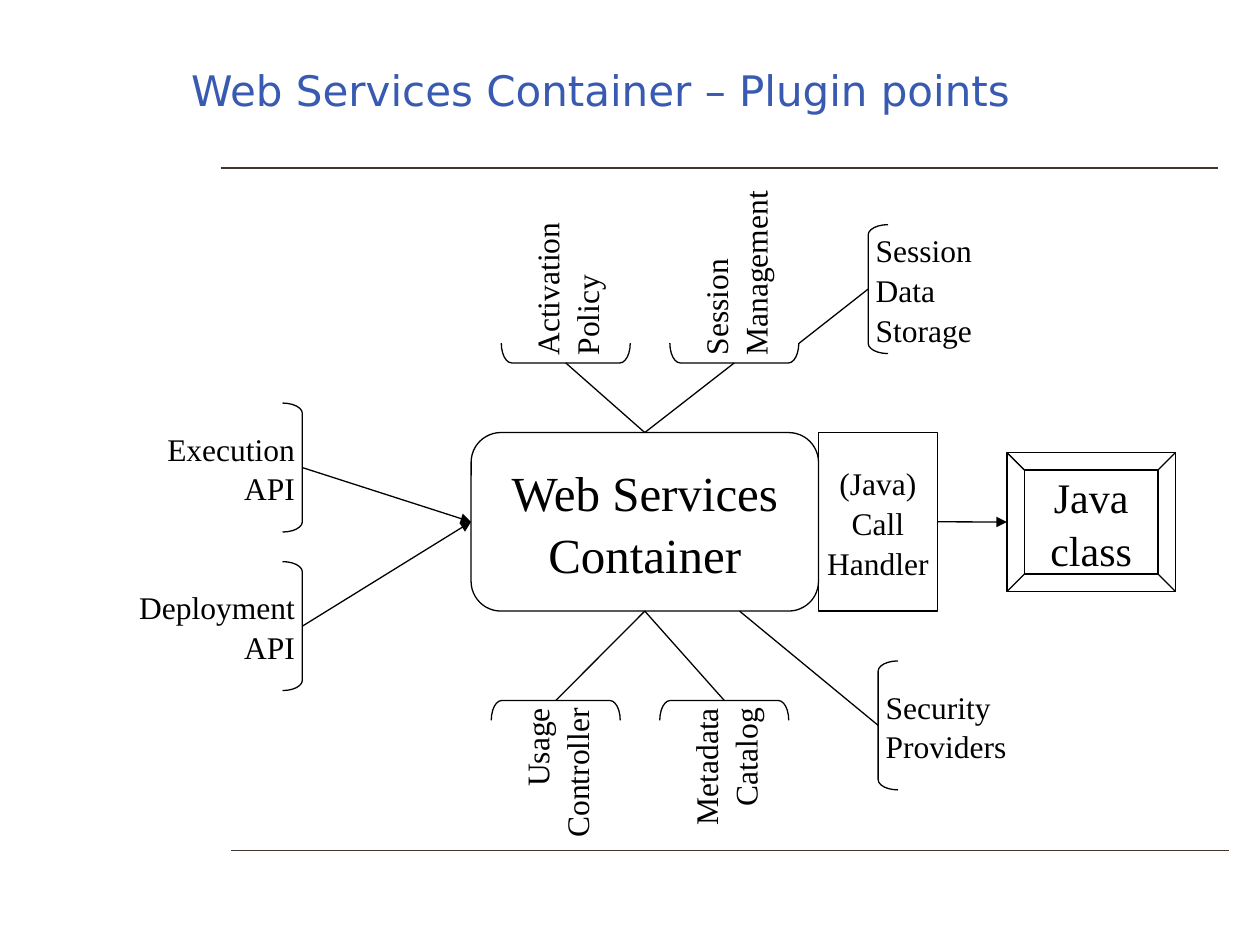
from lxml.etree import SubElement
from pptx import Presentation
from pptx.dml.color import RGBColor as RGB
from pptx.enum.shapes import MSO_CONNECTOR as CONN, MSO_SHAPE as SHAPE
from pptx.enum.text import MSO_ANCHOR as ANCHOR, MSO_AUTO_SIZE as AUTO, PP_ALIGN as ALIGN
from pptx.oxml.ns import qn
from pptx.util import Pt

THEME = {
    "title_font": "DejaVu Sans", "body_font": "Times New Roman",
    "title": RGB(0x38, 0x5A, 0xB0), "ink": RGB(0, 0, 0), "rule": RGB(0x3F, 0x38, 0x32),
    "title_size": 24, "label_size": 18, "line": 0.75, "spacing": 1.05,
}
TITLE = "Web Services Container – Plugin points"
RULES = [((126, 96), (696, 96)), ((132, 486), (702, 486))]

BOXES = {
    "container": (SHAPE.ROUNDED_RECTANGLE, "Web Services\nContainer", 28, (269.2, 247.2, 198.5, 102)),
    "handler": (SHAPE.RECTANGLE, "(Java)\nCall\nHandler", 18, (467.7, 247.2, 68.1, 102)),
    "class": (SHAPE.BEVEL, "Java\nclass", 24, (575.4, 258.6, 96.3, 79.4)),
}
PLUGINS = [
    ("Execution\nAPI", "left", (172.8, 267.2)),
    ("Deployment\nAPI", "left", (172.8, 357.8)),
    ("Activation\nPolicy", "up", (323.3, 207.4)),
    ("Session\nManagement", "up", (419.6, 207.4)),
    ("Usage\nController", "down", (317.6, 400.3)),
    ("Metadata\nCatalog", "down", (413.9, 400.3)),
    ("Session\nData\nStorage", "right", (496.1, 165.2)),
    ("Security\nProviders", "right", (501.8, 414.5)),
]
OPENINGS = {
    "left": (-1, 0, 0, 0, ALIGN.RIGHT),
    "up": (0, -1, 90, 270, ALIGN.LEFT),
    "right": (1, 0, 180, 0, ALIGN.LEFT),
    "down": (0, 1, 270, 270, ALIGN.RIGHT),
}
TOP, LEFT, BOTTOM, RIGHT = range(4)
CONTAINER_LINKS = [(0, LEFT, True), (1, LEFT, True), (2, TOP, False),
                   (3, TOP, False), (4, BOTTOM, False), (5, BOTTOM, False)]
FREE_LINKS = [(6, (456.6, 196.2)), (7, (422.6, 349.2))]
BRACKET_DEPTH, BRACKET_SPAN = 11.34, 73.7
LABEL_LENGTH, LABEL_GAP = 110, 4.3


def write(sp, text, size, align):
    tf = sp.text_frame
    tf.vertical_anchor = ANCHOR.MIDDLE
    p = tf.paragraphs[0]
    p.text = text
    p.alignment = align
    p.line_spacing = THEME["spacing"]
    for r in p.runs:
        r.font.size = Pt(size)
        r.font.name = THEME["body_font"]
        r.font.color.rgb = THEME["ink"]
    return tf


def add_outline(shapes, kind, x, y, w, h):
    sp = shapes.add_shape(kind, Pt(x), Pt(y), Pt(w), Pt(h))
    sp.shadow.inherit = False
    sp.fill.background()
    sp.line.color.rgb = THEME["ink"]
    sp.line.width = Pt(THEME["line"])
    return sp


def add_line(shapes, start, end, color="ink", arrow=False):
    c = shapes.add_connector(CONN.STRAIGHT, *map(Pt, start + end))
    c.line.color.rgb = THEME[color]
    c.line.width = Pt(THEME["line"])
    if arrow:
        SubElement(c.line._get_or_add_ln(), qn("a:tailEnd"), type="triangle")
    SubElement(c._element.spPr, qn("a:effectLst"))
    return c


def add_plugin(shapes, text, opening, bar):
    dx, dy, turn, text_turn, align = OPENINGS[opening]

    def corner(distance, w, h):
        return bar[0] + dx * distance - w / 2, bar[1] + dy * distance - h / 2

    x, y = corner(BRACKET_DEPTH / 2, BRACKET_DEPTH, BRACKET_SPAN)
    sp = add_outline(shapes, SHAPE.RIGHT_BRACKET, x, y, BRACKET_DEPTH, BRACKET_SPAN)
    sp.adjustments[0] = 0.52
    sp.rotation = turn

    x, y = corner(LABEL_GAP + LABEL_LENGTH / 2, LABEL_LENGTH, BRACKET_SPAN)
    label = shapes.add_textbox(Pt(x), Pt(y), Pt(LABEL_LENGTH), Pt(BRACKET_SPAN))
    label.rotation = text_turn
    tf = write(label, text, THEME["label_size"], align)
    tf.word_wrap = True
    tf.margin_left = tf.margin_right = tf.margin_top = tf.margin_bottom = 0


def add_title(slide):
    sp = slide.shapes.title
    sp.left, sp.top, sp.width, sp.height = Pt(102), Pt(18), Pt(504), Pt(66)
    tf = sp.text_frame
    tf.text = TITLE
    tf.auto_size = AUTO.NONE
    tf.vertical_anchor = ANCHOR.MIDDLE
    p = tf.paragraphs[0]
    p.alignment = ALIGN.LEFT
    font = p.runs[0].font
    font.size = Pt(THEME["title_size"])
    font.name = THEME["title_font"]
    font.color.rgb = THEME["title"]


def main():
    prs = Presentation()
    prs.slide_width, prs.slide_height = Pt(720), Pt(540)
    slide = prs.slides.add_slide(prs.slide_layouts[5])
    shapes = slide.shapes
    add_title(slide)
    for start, end in RULES:
        add_line(shapes, start, end, "rule")

    boxes = {}
    for name, (kind, text, size, frame) in BOXES.items():
        boxes[name] = add_outline(shapes, kind, *frame)
        write(boxes[name], text, size, ALIGN.CENTER).word_wrap = False

    for plugin in PLUGINS:
        add_plugin(shapes, *plugin)
    for i, side, arrow in CONTAINER_LINKS:
        bar = PLUGINS[i][2]
        add_line(shapes, bar, bar, arrow=arrow).end_connect(boxes["container"], side)
    for i, end in FREE_LINKS:
        add_line(shapes, PLUGINS[i][2], end)

    x, y, w, h = BOXES["class"][3]
    entry = (x, y + h / 2)
    add_line(shapes, entry, entry, arrow=True).begin_connect(boxes["handler"], RIGHT)
    prs.save("out.pptx")


if __name__ == "__main__":
    main()
